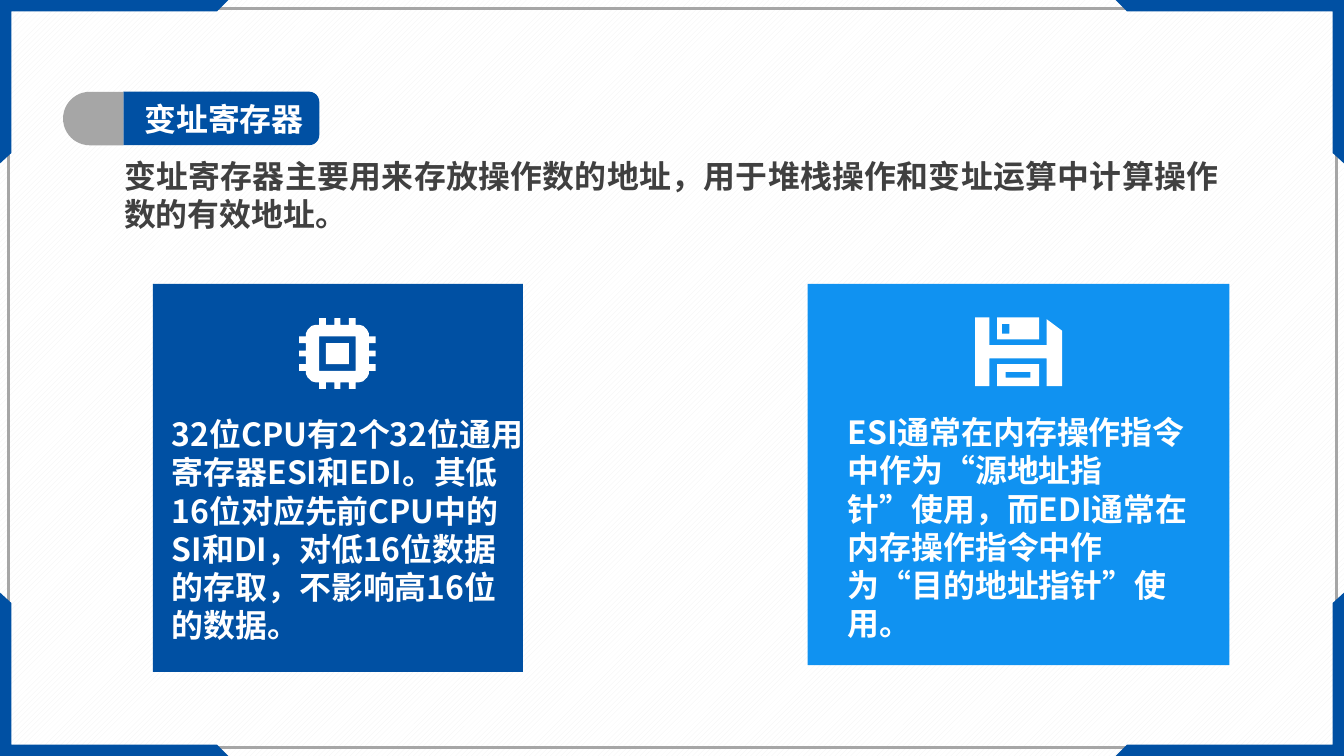
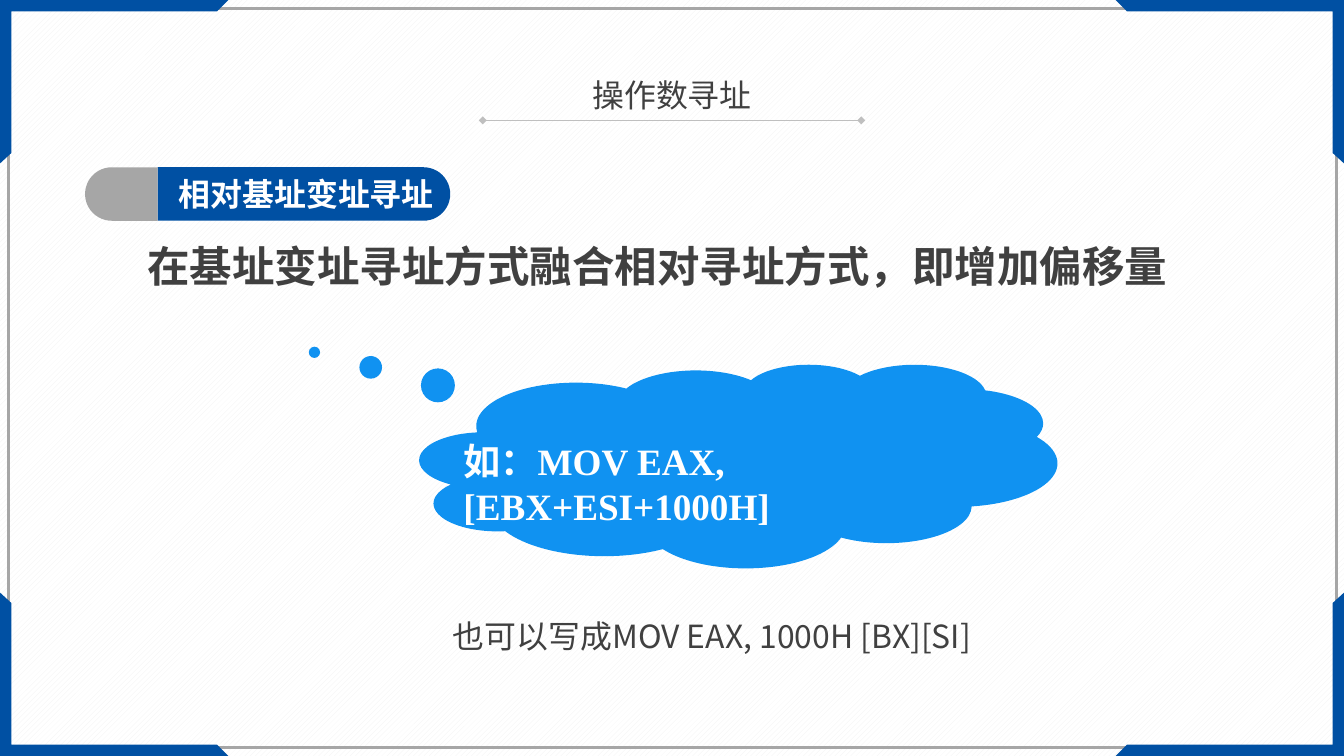
from lxml.etree import SubElement
from pptx import Presentation
from pptx.dml.color import RGBColor
from pptx.enum.dml import MSO_PATTERN
from pptx.enum.shapes import MSO_CONNECTOR, MSO_SHAPE
from pptx.enum.text import PP_ALIGN
from pptx.oxml.ns import qn
from pptx.util import Inches, Pt

WIDTH, HEIGHT = 14.06, 7.91
BLUE, SKY, GREY, DARK, WHITE = "0050A3", "1092F1", "A6A6A6", "404040", "FFFFFF"
SANS, SERIF = "Noto Sans CJK SC", "Times New Roman"
CORNER = [(0, 0), (2.39, 0), (2.27, 0.12), (0.12, 0.12), (0.12, 1.6), (0, 1.71)]
PILL_HEIGHT = 0.56


def color(value):
    return RGBColor.from_string(value)


def box(left, top, right, bottom):
    return [(left, top), (right, top), (right, bottom), (left, bottom)]


def chip_icon(center_x, center_y):
    quarter = [
        (0.03, -0.37), (0.03, -0.3), (0.12, -0.3), (0.12, -0.37), (0.19, -0.37),
        (0.19, -0.3), (0.23, -0.3), (0.27, -0.29), (0.31, -0.25), (0.33, -0.21),
        (0.33, -0.18), (0.4, -0.18), (0.4, -0.11), (0.33, -0.11), (0.33, -0.03),
        (0.4, -0.03),
    ]
    right = quarter + [(x, -y) for x, y in reversed(quarter)]
    outline = right + [(-x, y) for x, y in reversed(right)]
    contours = [outline, box(-0.19, -0.18, 0.19, 0.18), box(-0.12, -0.11, 0.12, 0.11)]
    return [[(center_x + x, center_y + y) for x, y in points] for points in contours]


def disk_icon(left, top):
    body = [
        (0, 0), (0.15, 0), (0.15, 0.29), (0.75, 0.29), (0.75, 0.02), (0.91, 0.14),
        (0.91, 0.72), (0.75, 0.72), (0.75, 0.43), (0.15, 0.43), (0.15, 0.72), (0, 0.72),
    ]
    contours = [
        body,
        box(0.23, 0, 0.67, 0.23), box(0.28, 0.07, 0.36, 0.17),
        box(0.23, 0.49, 0.67, 0.72), box(0.32, 0.57, 0.58, 0.63),
    ]
    return [[(left + x, top + y) for x, y in points] for points in contours]


class Deck:
    def __init__(self):
        self.presentation = Presentation()
        self.presentation.slide_width = Inches(WIDTH)
        self.presentation.slide_height = Inches(HEIGHT)
        fill = self.presentation.slide_master.background.fill
        fill.patterned()
        fill.pattern = MSO_PATTERN.WIDE_UPWARD_DIAGONAL
        fill.fore_color.rgb = color("F2F2F2")
        fill.back_color.rgb = color(WHITE)
        self.slide = None

    def new_slide(self):
        self.slide = self.presentation.slides.add_slide(self.presentation.slide_layouts[6])
        border = self.shape(MSO_SHAPE.RECTANGLE, 0.09, 0.09, 13.89, 7.73)
        border.line.color.rgb = color(GREY)
        border.line.width = Pt(2)
        for flip_x in (False, True):
            for flip_y in (False, True):
                self.outline([[
                    (WIDTH - x if flip_x else x, HEIGHT - y if flip_y else y)
                    for x, y in CORNER
                ]], BLUE)

    def finish(self, shape, fill):
        shape.shadow.inherit = False
        shape.line.fill.background()
        if fill:
            shape.fill.solid()
            shape.fill.fore_color.rgb = color(fill)
        else:
            shape.fill.background()
        return shape

    def shape(self, kind, left, top, width, height, fill=None, adjust=(), rotation=0):
        shape = self.slide.shapes.add_shape(
            kind, Inches(left), Inches(top), Inches(width), Inches(height))
        for index, value in enumerate(adjust):
            shape.adjustments[index] = value
        shape.rotation = rotation
        return self.finish(shape, fill)

    def outline(self, contours, fill):
        contours = [[(Inches(x), Inches(y)) for x, y in points] for points in contours]
        builder = self.slide.shapes.build_freeform(*contours[0][0])
        for index, points in enumerate(contours):
            if index:
                builder.move_to(*points[0])
            builder.add_line_segments(points[1:], close=True)
        return self.finish(builder.convert_to_shape(), fill)

    def text(self, words, left, top, width, height, size=24, ink=DARK, bold=False,
             face=SANS, align=PP_ALIGN.LEFT, insets=(0.1, 0.05, 0.1, 0.05)):
        frame = self.slide.shapes.add_textbox(
            Inches(left), Inches(top), Inches(width), Inches(height)).text_frame
        frame.word_wrap = True
        for side, inset in zip(("left", "top", "right", "bottom"), insets):
            setattr(frame, f"margin_{side}", Inches(inset))
        paragraph = frame.paragraphs[0]
        paragraph.alignment = align
        run = paragraph.add_run()
        run.text = words
        for name, value in {"size": Pt(size), "bold": bold, "name": face}.items():
            setattr(run.font, name, value)
        run.font.color.rgb = color(ink)
        SubElement(run.font._element, qn("a:ea")).set("typeface", SANS)

    def pill(self, words, left, top, cap_width, bar_width, roundness):
        joint = left + cap_width
        parts = [
            (joint, bar_width, BLUE, roundness, 90),
            (left, cap_width, GREY, 0.5, 270),
        ]
        for start, length, fill, corner, rotation in parts:
            shift = (length - PILL_HEIGHT) / 2
            self.shape(MSO_SHAPE.ROUND_2_SAME_RECTANGLE, start + shift, top - shift,
                       PILL_HEIGHT, length, fill, (corner, 0), rotation)
        self.text(words, joint + 0.07, top, bar_width - 0.07, PILL_HEIGHT, ink=WHITE,
                  bold=True, face=SERIF, insets=(0.15, 0.08, 0, 0.08))

    def card(self, frame, fill, icon, words, text_frame):
        self.shape(MSO_SHAPE.RECTANGLE, *frame, fill)
        self.text(words, *text_frame, ink=WHITE, bold=True)
        self.outline(icon, WHITE)

    def heading(self, words):
        left, right, rule_top = 5.05, 9.01, 1.26
        rule = self.slide.shapes.add_connector(
            MSO_CONNECTOR.STRAIGHT, Inches(left), Inches(rule_top),
            Inches(right), Inches(rule_top))
        rule.line.color.rgb = color("BFBFBF")
        rule.line.width = Pt(0.5)
        line = rule.line._get_or_add_ln()
        for end in ("a:headEnd", "a:tailEnd"):
            SubElement(line, qn(end)).set("type", "diamond")
        SubElement(rule._element.spPr, qn("a:effectLst"))
        self.text(words, left, 0.74, right - left, 0.5, align=PP_ALIGN.CENTER)


def index_registers(deck):
    deck.new_slide()
    deck.pill("变址寄存器", 0.66, 0.96, 0.63, 2.05, 0.19)
    deck.text("变址寄存器主要用来存放操作数的地址，用于堆栈操作和变址运算中计算操作数的有效地址。",
              1.2, 1.59, 11.65, 0.9, bold=True, align=PP_ALIGN.JUSTIFY)
    deck.card((1.6, 2.97, 3.87, 4.06), BLUE, chip_icon(3.53, 3.7),
              "32位CPU有2个32位通用寄存器ESI和EDI。其低16位对应先前CPU中的SI和DI，"
              "对低16位数据的存取，不影响高16位的数据。", (1.7, 4.29, 3.91, 3.23))
    deck.card((8.45, 2.97, 4.41, 3.99), SKY, disk_icon(10.2, 3.32),
              "ESI通常在内存操作指令中作为“源地址指针”使用，"
              "而EDI通常在内存操作指令中作为“目的地址指针”使用。", (8.77, 4.27, 3.76, 3.17))


def relative_addressing(deck):
    deck.new_slide()
    deck.pill("相对基址变址寻址", 0.89, 1.75, 0.76, 3.06, 0.5)
    deck.text("在基址变址寻址方式融合相对寻址方式，即增加偏移量",
              1.44, 2.46, 11.81, 0.63, size=32, bold=True)
    deck.shape(MSO_SHAPE.CLOUD_CALLOUT, 4.39, 3.81, 6.67, 2.13, SKY, (-0.665, -0.558))
    deck.text("如：MOV EAX, [EBX+ESI+1000H]", 4.75, 4.54, 6, 1.03,
              size=28, ink=WHITE, bold=True, face=SERIF)
    deck.heading("操作数寻址")
    deck.text("也可以写成MOV EAX, 1000H [BX][SI]", 4.64, 6.4, 6.67, 0.5)


def main():
    deck = Deck()
    index_registers(deck)
    relative_addressing(deck)
    deck.presentation.save("out.pptx")


if __name__ == "__main__":
    main()
